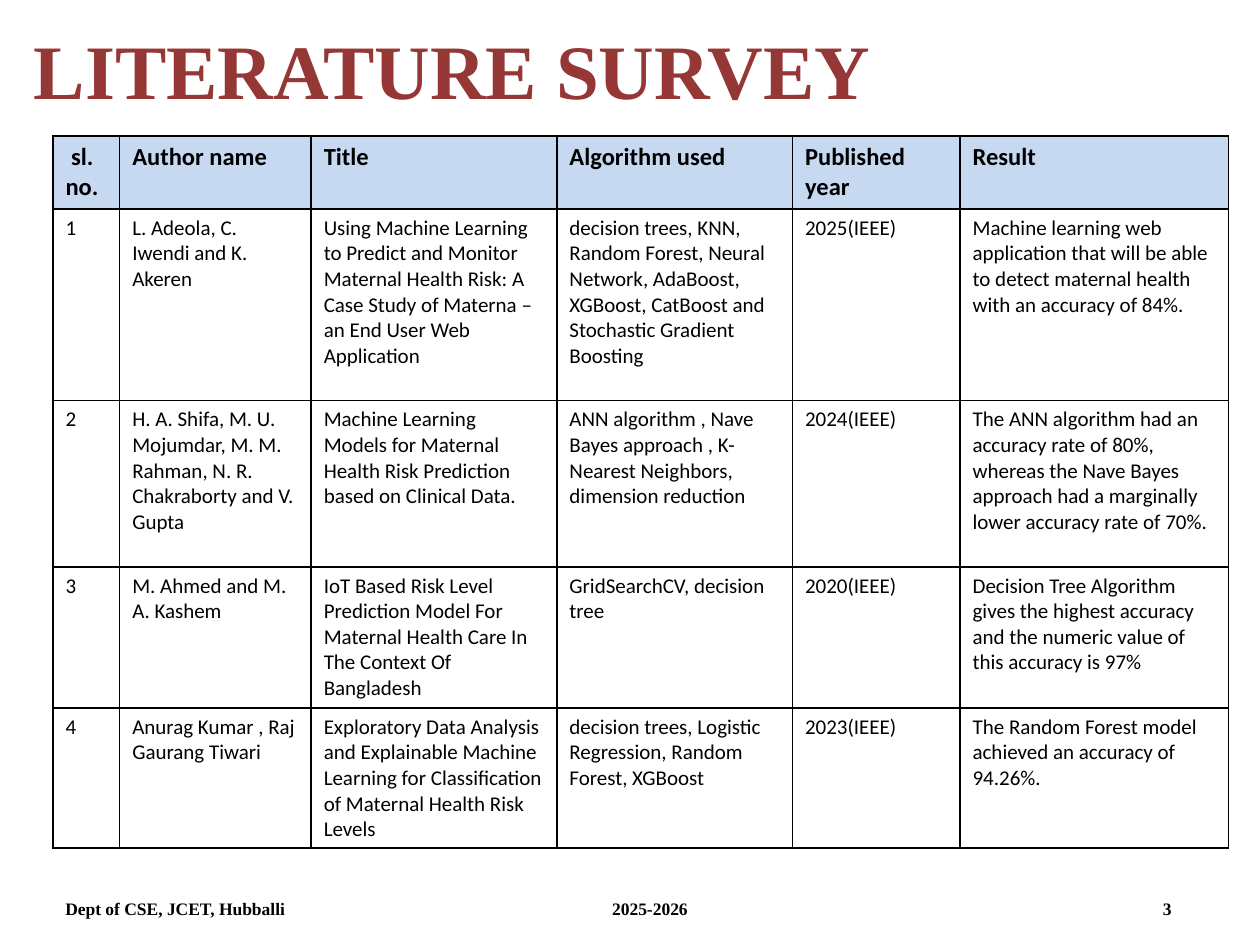
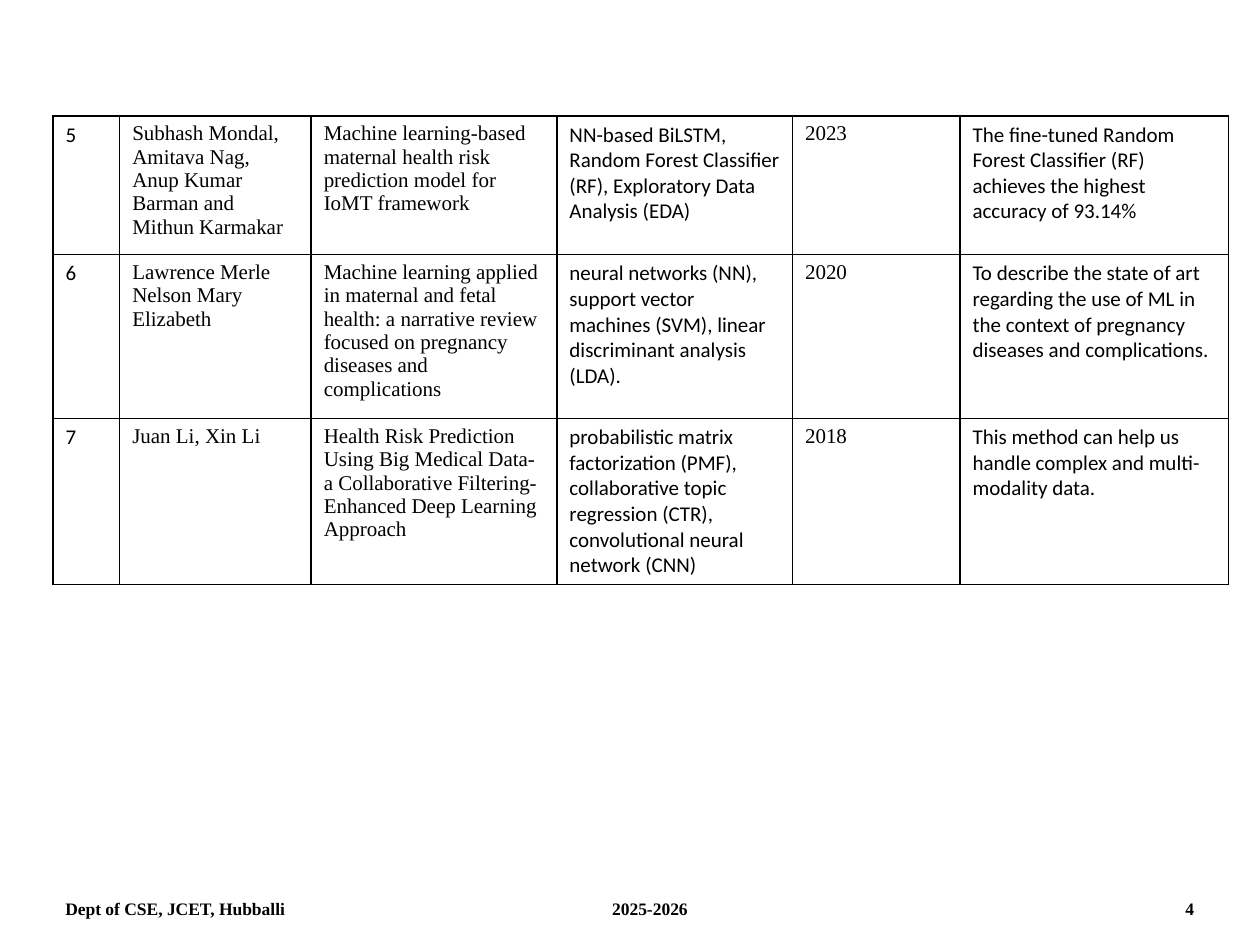
from lxml.etree import SubElement
from pptx import Presentation
from pptx.dml.color import RGBColor
from pptx.enum.text import MSO_ANCHOR
from pptx.oxml.ns import qn
from pptx.util import Inches, Pt

COLORS = {"heading": "953735", "ink": "000000", "header": "C6D9F1"}
SERIF, SANS = "Times New Roman", "Calibri"
STYLES = {
    "heading": {"size": Pt(44), "name": SERIF, "bold": True},
    "header": {"size": Pt(14), "name": SANS, "bold": True},
    "sans": {"size": Pt(12), "name": SANS, "bold": False},
    "serif": {"size": Pt(12), "name": SERIF, "bold": False},
    "footer": {"size": Pt(10), "name": SERIF, "bold": True},
}

deck = Presentation()
deck.slide_width, deck.slide_height = Inches(10), Inches(7.5)
COLUMN = deck.slide_width / 100
ROW = deck.slide_height / 75
LEFT, WIDTH = 4.2, 93.3
SURVEY_COLUMNS = [5.3, 15.2, 19.5, 18.7, 13.3, 21.3]

HEADER = [" sl. no.", "Author name", "Title", "Algorithm used", "Published year", "Result"]
EARLY_STUDIES = [
    ["1", "L. Adeola, C. Iwendi and K. Akeren",
     "Using Machine Learning to Predict and Monitor Maternal Health Risk: "
     "A Case Study of Materna – an End User Web Application",
     "decision trees, KNN, Random Forest, Neural Network, AdaBoost, XGBoost, "
     "CatBoost and Stochastic Gradient Boosting",
     "2025(IEEE)",
     "Machine learning web application that will be able to detect maternal "
     "health with an accuracy of 84%."],
    ["2", "H. A. Shifa, M. U. Mojumdar, M. M. Rahman, N. R. Chakraborty and V. Gupta",
     "Machine Learning Models for Maternal Health Risk Prediction based on Clinical Data.",
     "ANN algorithm , Nave Bayes approach , K-Nearest Neighbors, dimension reduction",
     "2024(IEEE)",
     "The ANN algorithm had an accuracy rate of 80%, whereas the Nave Bayes "
     "approach had a marginally lower accuracy rate of 70%."],
    ["3", "M. Ahmed and M. A. Kashem",
     "IoT Based Risk Level Prediction Model For Maternal Health Care In The "
     "Context Of Bangladesh",
     "GridSearchCV, decision tree",
     "2020(IEEE)",
     "Decision Tree Algorithm gives the highest accuracy and the numeric value "
     "of this accuracy is 97%"],
    ["4", "Anurag Kumar , Raj Gaurang Tiwari",
     "Exploratory Data Analysis and Explainable Machine Learning for "
     "Classification of Maternal Health Risk Levels",
     "decision trees, Logistic Regression, Random Forest, XGBoost",
     "2023(IEEE)",
     "The Random Forest model achieved an accuracy of 94.26%."],
]
LATER_STUDIES = [
    ["5", "Subhash Mondal, Amitava Nag, Anup Kumar Barman and Mithun Karmakar",
     "Machine learning-based maternal health risk prediction model for IoMT framework",
     "NN-based BiLSTM, Random Forest Classifier (RF), Exploratory Data Analysis (EDA)",
     "2023",
     "The fine-tuned Random Forest Classifier (RF) achieves the highest accuracy of 93.14%"],
    ["6", "Lawrence Merle Nelson Mary Elizabeth",
     "Machine learning applied in maternal and fetal health: a narrative review "
     "focused on pregnancy diseases and complications",
     "neural networks (NN), support vector machines (SVM), linear discriminant analysis (LDA).",
     "2020",
     "To describe the state of art regarding the use of ML in the context of "
     "pregnancy diseases and complications."],
    ["7", "Juan Li, Xin Li",
     "Health Risk Prediction Using Big Medical Data- a Collaborative "
     "Filtering-Enhanced Deep Learning Approach",
     "probabilistic matrix factorization (PMF), collaborative topic regression "
     "(CTR), convolutional neural network (CNN)",
     "2018",
     "This method can help us handle complex and multi-modality data."],
]
SANS_ROW = ["sans"] * 6
MIXED_ROW = ["sans", "serif", "serif", "sans", "serif", "sans"]

PAGES = [
    {"heading": "LITERATURE SURVEY", "number": "3", "number_end": 87.8, "top": 10.8,
     "rows": [HEADER] + EARLY_STUDIES, "styles": [["header"] * 6] + [SANS_ROW] * 4,
     "heights": [5.8, 15.2, 13.2, 11.2, 11.1]},
    {"heading": None, "number": "4", "number_end": 89.6, "top": 9.2,
     "rows": LATER_STUDIES, "styles": [MIXED_ROW] * 3, "heights": [10.6, 12.1, 13.2]},
]


def place(left, top, width, height):
    return int(left * COLUMN), int(top * ROW), int(width * COLUMN), int(height * ROW)


def write(frame, text, style):
    frame.word_wrap = True
    line = frame.paragraphs[0].add_run()
    line.text = text
    for attribute, value in STYLES[style].items():
        setattr(line.font, attribute, value)
    line.font.color.rgb = RGBColor.from_string(COLORS.get(style if style == "heading" else "ink"))


for page in PAGES:
    slide = deck.slides.add_slide(deck.slide_layouts[6])

    if page["heading"]:
        heading = slide.shapes.add_textbox(*place(1.7, -0.8, 90, 12.5)).text_frame
        heading.vertical_anchor = MSO_ANCHOR.MIDDLE
        write(heading, page["heading"], "heading")

    survey = slide.shapes.add_table(
        len(page["rows"]), len(HEADER),
        *place(LEFT, page["top"], WIDTH, sum(page["heights"]))).table
    survey.first_row = survey.horz_banding = False
    for column, width in zip(survey.columns, SURVEY_COLUMNS):
        column.width = int(width * COLUMN)
    for row, height, texts, styles in zip(
            survey.rows, page["heights"], page["rows"], page["styles"]):
        row.height = int(height * ROW)
        for cell, text, style in zip(row.cells, texts, styles):
            write(cell.text_frame, text, style)
            properties = cell._tc.get_or_add_tcPr()
            for side in ("a:lnL", "a:lnR", "a:lnT", "a:lnB"):
                border = SubElement(properties, qn(side), w=str(Pt(1)))
                ink = SubElement(border, qn("a:solidFill"))
                SubElement(ink, qn("a:srgbClr"), val=COLORS["ink"])
            if style == "header":
                cell.fill.solid()
                cell.fill.fore_color.rgb = RGBColor.from_string(COLORS["header"])
            else:
                cell.fill.background()

    footer = slide.shapes.add_textbox(*place(LEFT, 70.8, WIDTH, 2.8)).text_frame
    stops = SubElement(footer.paragraphs[0]._p.get_or_add_pPr(), qn("a:tabLst"))
    for position, alignment in ((43.4, "l"), (page["number_end"], "r")):
        SubElement(stops, qn("a:tab"), pos=str(int(position * COLUMN)), algn=alignment)
    write(footer, f"Dept of CSE, JCET, Hubballi\t2025-2026\t{page['number']}", "footer")

deck.save("out.pptx")
